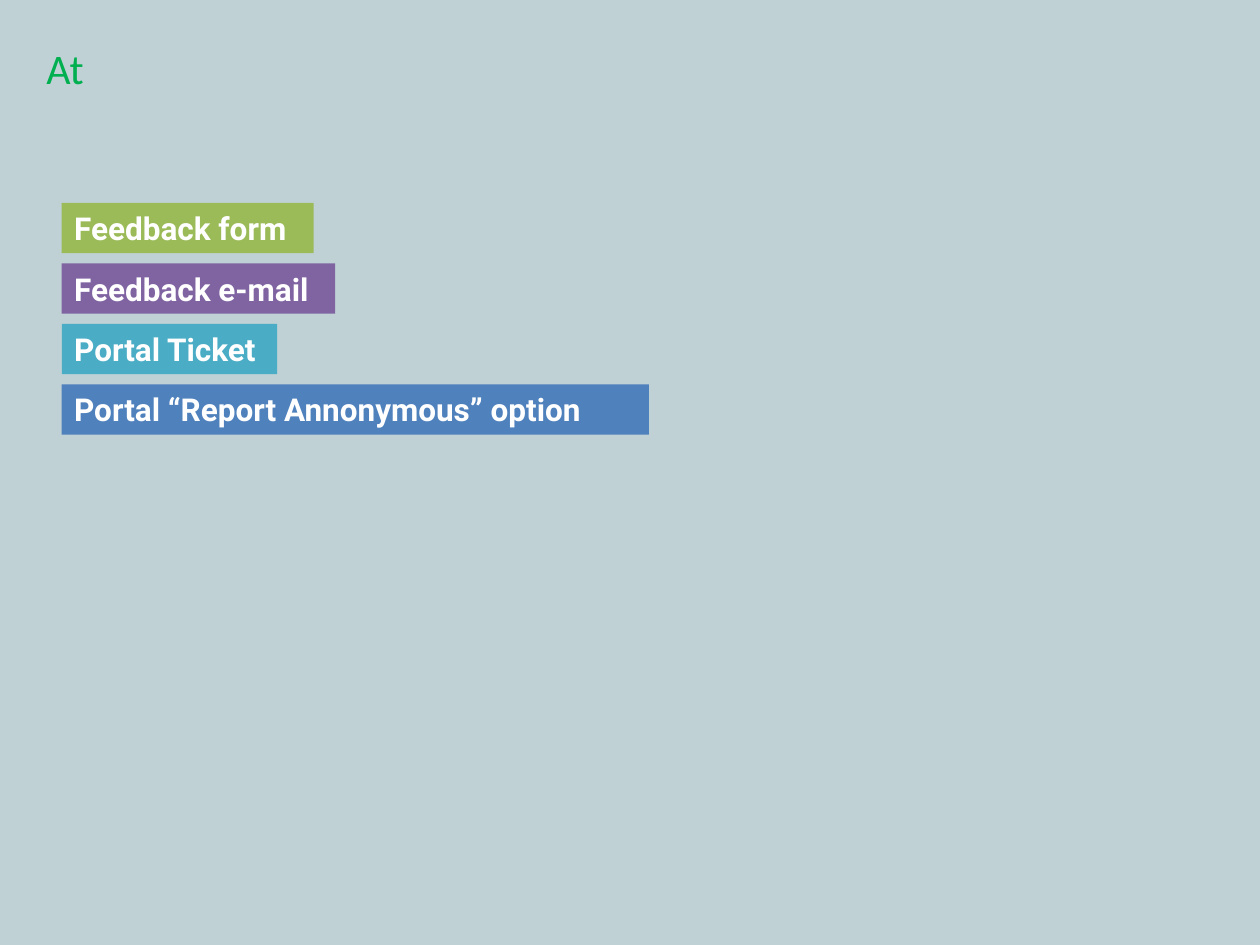
from pptx import Presentation
from pptx.dml.color import RGBColor
from pptx.enum.shapes import MSO_SHAPE
from pptx.enum.text import MSO_ANCHOR, MSO_AUTO_SIZE, PP_ALIGN
from pptx.util import Inches, Pt

RECTANGLE = MSO_SHAPE.RECTANGLE
TOP = MSO_ANCHOR.TOP
FIT_SHAPE = MSO_AUTO_SIZE.SHAPE_TO_FIT_TEXT
LEFT = PP_ALIGN.LEFT

COLORS = {
    "background": "BFD1D5",
    "title": "00B050",
    "label": "FFFFFF",
    "green": "9BBB59",
    "purple": "8064A2",
    "teal": "4BACC6",
    "blue": "4F81BD",
}

# Bar grid in inches
BAR_LEFT, BAR_TOP, BAR_HEIGHT, BAR_PITCH = 0.49, 1.61, 0.4, 0.48

# Label, fill and width of each feedback channel
CHANNELS = [
    ("Feedback form", "green", 2),
    ("Feedback e-mail", "purple", 2.17),
    ("Portal Ticket", "teal", 1.71),
    ("Portal “Report Annonymous” option", "blue", 4.66),
]


class SlideBuilder:
    def __init__(self, slide):
        self.slide = slide

    def color(self, name):
        return RGBColor.from_string(COLORS[name])

    def background(self, name):
        fill = self.slide.background.fill
        fill.solid()
        fill.fore_color.rgb = self.color(name)

    def set_text(self, shape, text, font_name, size, color, bold=False, wrap=True):
        frame = shape.text_frame
        frame.text = text
        frame.word_wrap = wrap
        frame.auto_size = FIT_SHAPE
        frame.vertical_anchor = TOP
        paragraph = frame.paragraphs[0]
        paragraph.alignment = LEFT
        font = paragraph.runs[0].font
        font.name, font.size, font.bold = font_name, Pt(size), bold
        font.color.rgb = self.color(color)

    def title(self, text):
        shape = self.slide.shapes.add_textbox(
            Inches(0.27), Inches(0.29), Inches(0.5), Inches(0.5))
        self.set_text(shape, text, "Calibri", 24, "title", wrap=False)

    def bar(self, row, text, fill, width):
        shape = self.slide.shapes.add_shape(
            RECTANGLE, Inches(BAR_LEFT), Inches(BAR_TOP + row * BAR_PITCH),
            Inches(width), Inches(BAR_HEIGHT))
        shape.shadow.inherit = False
        shape.fill.solid()
        shape.fill.fore_color.rgb = self.color(fill)
        shape.line.fill.background()
        self.set_text(shape, text, "Roboto", 18, "label", bold=True)


def main():
    presentation = Presentation()
    presentation.slide_width = Inches(10)
    presentation.slide_height = Inches(7.5)
    slide = presentation.slides.add_slide(presentation.slide_layouts[6])
    builder = SlideBuilder(slide)

    builder.background("background")
    builder.title("At")

    # Stacked channel bars
    for row, (text, fill, width) in enumerate(CHANNELS):
        builder.bar(row, text, fill, width)

    presentation.save("out.pptx")


if __name__ == "__main__":
    main()
